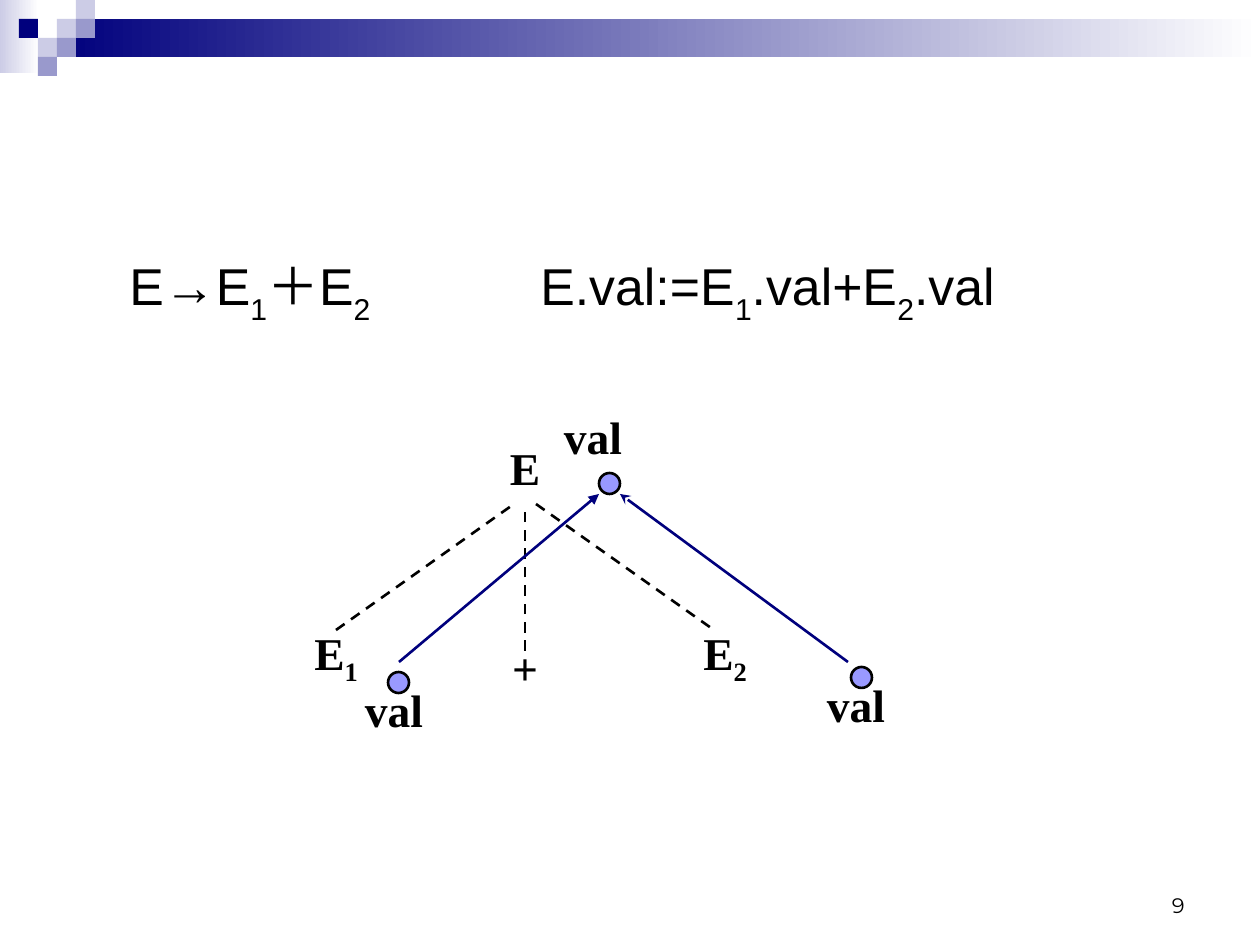
from lxml import etree
from pptx import Presentation
from pptx.dml.color import RGBColor
from pptx.enum.dml import MSO_LINE
from pptx.enum.shapes import MSO_CONNECTOR, MSO_SHAPE
from pptx.enum.text import MSO_ANCHOR, PP_ALIGN
from pptx.oxml.ns import qn
from pptx.util import Emu, Pt

RECT, OVAL = MSO_SHAPE.RECTANGLE, MSO_SHAPE.OVAL
LINE, DASH = MSO_CONNECTOR.STRAIGHT, MSO_LINE.DASH
TOP, MID, LOW = MSO_ANCHOR.TOP, MSO_ANCHOR.MIDDLE, MSO_ANCHOR.BOTTOM
LEFT, MIDDLE, RIGHT = PP_ALIGN.LEFT, PP_ALIGN.CENTER, PP_ALIGN.RIGHT

COLORS = {"black": "000000", "white": "FFFFFF", "navy": "00007D",
          "pale": "CCCCE6", "mid": "9999CC", "node": "9999FF"}


def px(n):
    return Emu(round(n * 914400 / 126))


def tint(name):
    return RGBColor.from_string(COLORS[name])


class Page:
    def __init__(self, slide):
        self.shapes = slide.shapes
        self.weight = Pt(1.5)

    def shape(self, kind, box, fill, fade=None, edge=None):
        item = self.shapes.add_shape(kind, *map(px, box))
        item.shadow.inherit = False
        if fade:
            item.fill.gradient()
            item.fill.gradient_angle = 0
            for stop, name in zip(item.fill.gradient_stops, (fill, fade)):
                stop.color.rgb = tint(name)
        else:
            item.fill.solid()
            item.fill.fore_color.rgb = tint(fill)
        if edge:
            item.line.color.rgb = tint(edge)
            item.line.width = self.weight
        else:
            item.line.fill.background()

    def text(self, box, parts, size, face, bold=False, align=MIDDLE,
             anchor=MID, wrap=True, drop=25, tab=None, space=None):
        """Write parts in turn; every second part is a subscript."""
        frame = self.shapes.add_textbox(*map(px, box)).text_frame
        frame.word_wrap = wrap
        frame.vertical_anchor = anchor
        para = frame.paragraphs[0]
        para.alignment = align
        if space:
            para.line_spacing = space
        if tab:
            tabs = etree.SubElement(para._p.get_or_add_pPr(), qn("a:tabLst"))
            etree.SubElement(tabs, qn("a:tab"), pos=str(px(tab)), algn="l")
        font = para.font
        font.size, font.name, font.bold = Pt(size), face, bold
        font.color.rgb = tint("black")
        for i, part in enumerate(parts):
            run = para.add_run()
            run.text = part
            if i % 2:
                run._r.get_or_add_rPr().set("baseline", str(-drop * 1000))

    def label(self, x, y, *parts):
        wide, high = 95, 73
        box = (x - wide / 2, y - high / 2, wide, high)
        self.text(box, parts, 26, "Times New Roman", bold=True, wrap=False)

    def line(self, start, end, color, dash=None, head=None):
        item = self.shapes.add_connector(LINE, *map(px, start + end))
        item.line.color.rgb = tint(color)
        item.line.width = self.weight
        if dash:
            item.line.dash_style = dash
        if head:
            etree.SubElement(item.line._get_or_add_ln(), qn("a:tailEnd"), type=head)
        etree.SubElement(item._element.spPr, qn("a:effectLst"))


def main():
    deck = Presentation()
    deck.slide_width, deck.slide_height = px(1260), px(945)
    page = Page(deck.slides.add_slide(deck.slide_layouts[6]))

    # Header band and its squares
    unit = 19
    page.shape(RECT, (0, 0, 39, 73), "pale", fade="white")
    page.shape(RECT, (3 * unit, unit, 1260 - 3 * unit, 2 * unit), "navy", fade="white")
    for col, row, color in ((3, 1, "pale"), (4, 0, "pale"), (4, 1, "mid"),
                            (2, 2, "pale"), (1, 1, "navy"), (3, 2, "mid"),
                            (2, 3, "mid")):
        page.shape(RECT, (col * unit, row * unit, unit, unit), color)

    # Slide number
    page.text((903, 861, 294, 63), ["9"], 12, "Montserrat", align=RIGHT, anchor=LOW)

    # Production and its rule
    page.text((117, 252, 1090, 73),
              ["E→E", "1", "＋E", "2", "\tE.val:=E", "1", ".val+E", "2", ".val"],
              29.6, "Arial", align=LEFT, anchor=TOP, drop=30, tab=411, space=0.8)

    # Parse tree
    page.label(336, 656, "E", "1")
    page.label(525, 667, "+")
    page.label(725, 656, "E", "2")
    page.label(525, 467, "E")
    page.line((336, 630), (514, 504), "black", dash=DASH)
    page.line((525, 651), (525, 504), "black", dash=DASH)
    page.line((536, 504), (714, 630), "black", dash=DASH)

    # Attribute flow
    page.line((399, 662), (599, 494), "navy", head="triangle")
    page.line((848, 662), (620, 494), "navy", head="stealth")
    for x, y in ((593, 436), (394, 709), (856, 704)):
        page.label(x, y, "val")
    for x, y in ((388, 672), (851, 667), (599, 473)):
        page.shape(OVAL, (x, y, 21, 21), "node", edge="black")

    deck.save("out.pptx")


if __name__ == "__main__":
    main()
